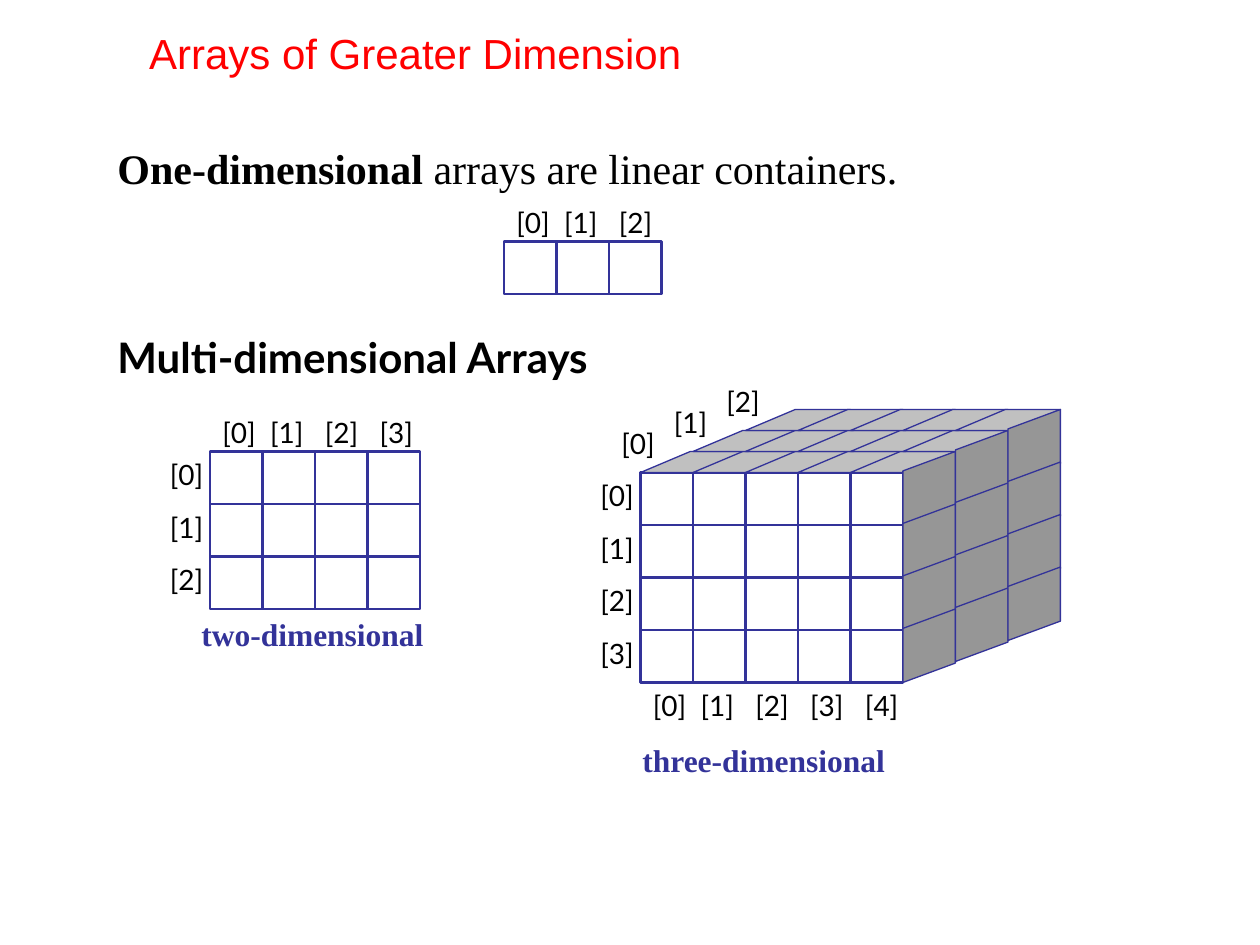
from lxml.etree import SubElement
from pptx import Presentation
from pptx.dml.color import RGBColor
from pptx.enum.shapes import MSO_CONNECTOR, MSO_SHAPE
from pptx.enum.text import MSO_ANCHOR, MSO_AUTO_SIZE, PP_ALIGN
from pptx.oxml.ns import qn
from pptx.util import Pt

CELL = 30   # side of one array cell
DEPTH = 12  # rise of one layer of the cube


def color(value):
    return RGBColor.from_string(value)


class ArrayPage:
    """Holds the style and the page; self.shapes is where elements are added."""
    BLACK, RED, INDIGO = "000000", "FF0000", "333399"
    WHITE, TOP_GRAY, SIDE_GRAY = "FFFFFF", "C0C0C0", "969696"
    SANS, SERIF, HEADING = "Lato", "Times New Roman", "Arial"

    def __init__(self, page):
        self.page = page
        self.shapes = page.shapes

    def start_group(self):
        self.shapes = self.page.shapes.add_group_shape().shapes

    def end_group(self):
        self.shapes = self.page.shapes

    def fill_text(self, box, spans, size, font, ink):
        """Fill a box with (text, bold) spans."""
        frame = box.text_frame
        frame.word_wrap = True
        frame.auto_size = MSO_AUTO_SIZE.NONE
        frame.vertical_anchor = MSO_ANCHOR.TOP
        para = frame.paragraphs[0]
        para.alignment = PP_ALIGN.LEFT
        for text, bold in spans:
            span = para.add_run()
            span.text = text
            span.font.size = Pt(size)
            span.font.name = font
            span.font.bold = bold
            span.font.color.rgb = color(ink)
        return para

    def title(self, text, left, top, width, height):
        box = self.page.shapes.title
        box.left, box.top, box.width, box.height = map(Pt, (left, top, width, height))
        self.fill_text(box, [(text, False)], 24, self.HEADING, self.RED)

    def text(self, spans, left, top, width, height, size, font, ink):
        box = self.shapes.add_textbox(Pt(left), Pt(top), Pt(width), Pt(height))
        return self.fill_text(box, spans, size, font, ink)

    def label(self, text, left, top, width=36):
        return self.text([(text, False)], left, top, width, 26.5, 16, self.SANS, self.BLACK)

    def caption(self, text, left, top):
        self.text([(text, True)], left, top, 162, 29, 18, self.SERIF, self.INDIGO)

    def column_labels(self, count, left, top):
        """One line of indices, set apart by tab stops."""
        text = "\t".join(f"[{i}]" for i in range(count))
        para = self.label(text, left, top, count * CELL + 24)
        properties = para._p.get_or_add_pPr()
        stops = SubElement(properties, qn("a:tabLst"))
        for i in range(count - 1):
            SubElement(stops, qn("a:tab"), pos=str(Pt(27.3 + 31.3 * i)), algn="l")

    def row_labels(self, count, left, top):
        for i in range(count):
            self.label(f"[{i}]", left - CELL, top + i * CELL)

    def shape(self, kind, left, top, width, height, fill, weight):
        shape = self.shapes.add_shape(kind, Pt(left), Pt(top), Pt(width), Pt(height))
        shape.shadow.inherit = False
        shape.fill.solid()
        shape.fill.fore_color.rgb = color(fill)
        shape.line.color.rgb = color(self.INDIGO)
        shape.line.width = Pt(weight)
        return shape

    def divider(self, x, top, bottom):
        line = self.shapes.add_connector(MSO_CONNECTOR.STRAIGHT, Pt(x), Pt(top), Pt(x), Pt(bottom))
        line.line.color.rgb = color(self.INDIGO)
        line.line.width = Pt(1.5)
        SubElement(line.element.spPr, qn("a:effectLst"))

    def grid(self, rows, columns, left, top):
        for row in range(rows):
            y = top + row * CELL
            self.shape(MSO_SHAPE.RECTANGLE, left, y, columns * CELL, CELL, self.WHITE, 1.5)
            for column in range(1, columns):
                self.divider(left + column * CELL, y, y + CELL)

    def top_face(self, left, top):
        face = self.shape(MSO_SHAPE.PARALLELOGRAM, left, top, 2 * CELL, DEPTH, self.TOP_GRAY, 0.75)
        face.adjustments[0] = 2.37

    def side_face(self, left, top):
        """Upright face: a parallelogram turned a quarter about its centre."""
        length = CELL + DEPTH
        face = self.shape(MSO_SHAPE.PARALLELOGRAM, left - DEPTH / 2, top + DEPTH / 2,
                          length, CELL, self.SIDE_GRAY, 0.75)
        face.adjustments[0] = 0.37
        face.rotation = 90
        face.element.spPr.xfrm.set("flipH", "1")

    def cube(self, rows, columns, layers, left, top):
        self.grid(rows, columns, left, top)
        for layer in range(layers):
            x, y = left + layer * CELL, top - (layer + 1) * DEPTH
            for column in range(columns):
                self.top_face(x + column * CELL, y)
        for layer in range(layers):
            x, y = left + (columns + layer) * CELL, top - (layer + 1) * DEPTH
            for row in range(rows):
                self.side_face(x, y + row * CELL)
        for layer in range(layers):
            self.label(f"[{layer}]", left - 18 + layer * CELL, top - 30 - layer * DEPTH)


def main():
    deck = Presentation()
    deck.slide_width, deck.slide_height = Pt(720), Pt(540)
    art = ArrayPage(deck.slides.add_slide(deck.slide_layouts[5]))

    # Title and headings
    art.title("Arrays of Greater Dimension", 78, 12, 630, 36)
    art.text([("One-dimensional", True), (" arrays are linear containers.", False)],
             60, 78, 624, 36, 24, art.SERIF, art.BLACK)
    art.text([("Multi-dimensional Arrays", True)], 60, 186, 636, 36, 24, art.SANS, art.BLACK)

    # One-dimensional array
    art.start_group()
    art.column_labels(3, 288, 114)
    art.grid(1, 3, 288, 138)
    art.end_group()

    # Two-dimensional array
    art.start_group()
    art.grid(3, 4, 120, 258)
    art.column_labels(4, 120, 234)
    art.row_labels(3, 120, 258)
    art.end_group()
    art.caption("two-dimensional", 108, 348)

    # Three-dimensional array
    art.start_group()
    art.cube(4, 5, 3, 366, 270)
    art.column_labels(5, 366, 390)
    art.row_labels(4, 366, 270)
    art.end_group()
    art.caption("three-dimensional", 360, 420)

    deck.save("out.pptx")


if __name__ == "__main__":
    main()
